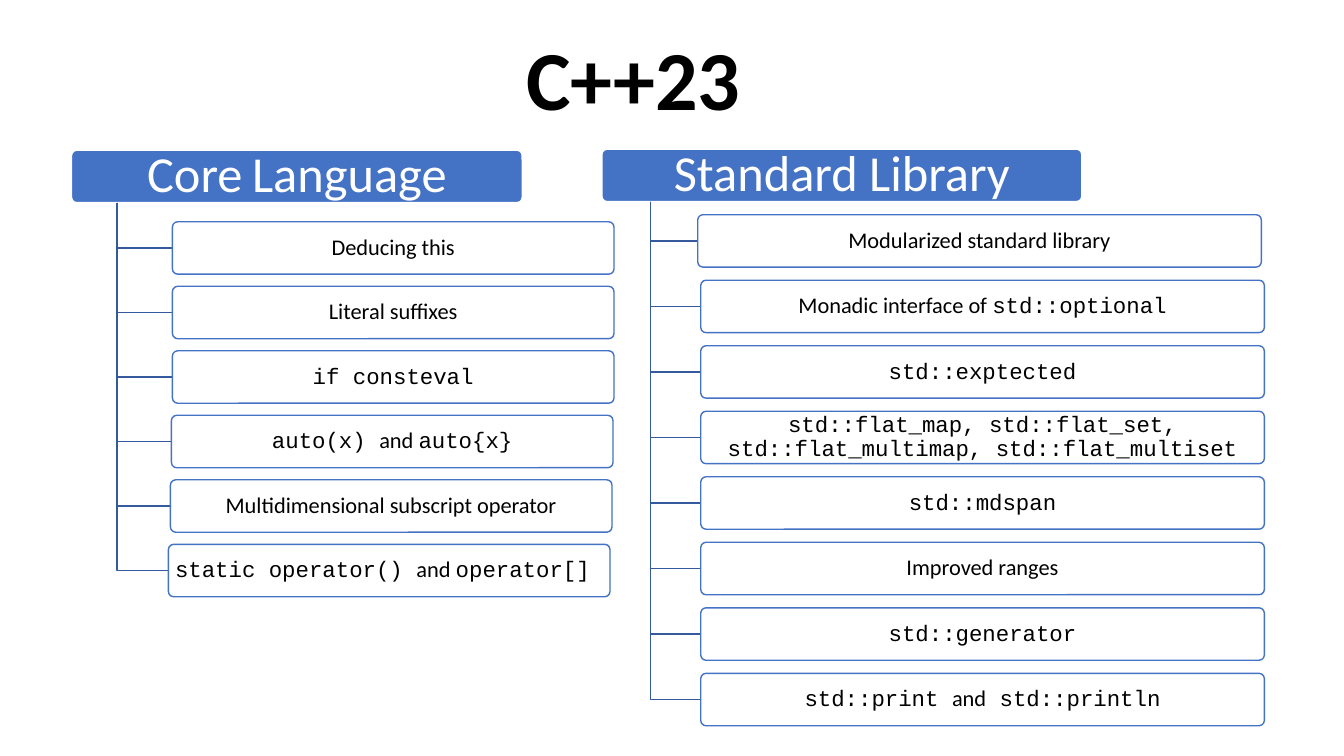
from lxml import etree
from pptx import Presentation
from pptx import util as u
from pptx.dml.color import RGBColor
from pptx.enum import shapes, text
from pptx.oxml import ns

COLORS = {"blue": "4472C4", "branch": "34599C", "white": "FFFFFF", "black": "000000"}
SANS, MONO = "Calibri", "Courier New"
BOX_HEIGHT = 0.52

# Items are (left edge, label); text between backticks is set as code
COLUMNS = [
    {"left": 0.71, "top": 1.49, "width": 4.47, "trunk": 1.16,
     "title": [("Core", SANS, 36), (" ", SANS, 30), ("Language", SANS, 36)],
     "first": 2.2, "pitch": 0.64, "item_width": 4.38,
     "items": [
         (1.71, "Deducing this"),
         (1.71, "Literal suffixes"),
         (1.71, "`if consteval`"),
         (1.70, "`auto(x) `and `auto{x}`"),
         (1.69, "Multidimensional subscript operator"),
         (1.67, "`static operator() `and `operator[] `"),
     ]},
    {"left": 5.97, "top": 1.48, "width": 4.76, "trunk": 6.45,
     "title": [("Standard Library", SANS, 36)],
     "first": 2.13, "pitch": 0.65, "item_width": 5.59,
     "items": [
         (6.92, "Modularized standard library"),
         (6.95, "Monadic interface of `std::optional`"),
         (6.95, "`std::exptected`"),
         (6.95, "`std::flat_map, std::flat_set, std::flat_multimap, std::flat_multiset`"),
         (6.95, "`std::mdspan`"),
         (6.95, "Improved ranges"),
         (6.95, "`std::generator`"),
         (6.95, "`std::print `and` std::println`"),
     ]},
]


def color(name):
    return RGBColor.from_string(COLORS[name])


def add_box(left, top, width, spans, fill, line, ink, inset):
    box = page.shapes.add_shape(
        shapes.MSO_SHAPE.ROUNDED_RECTANGLE, u.Inches(left), u.Inches(top),
        u.Inches(width), u.Inches(BOX_HEIGHT))
    box.adjustments[0] = 0.1
    box.shadow.inherit = False
    box.fill.solid()
    box.fill.fore_color.rgb = color(fill)
    box.line.color.rgb = color(line)
    box.line.width = u.Pt(1)
    frame = box.text_frame
    frame.word_wrap = True
    frame.vertical_anchor = text.MSO_ANCHOR.MIDDLE
    frame.margin_left = frame.margin_right = u.Inches(inset)
    frame.margin_top = frame.margin_bottom = u.Inches(inset)
    para = frame.paragraphs[0]
    para.alignment = text.PP_ALIGN.CENTER
    para.line_spacing = 0.9
    for words, font, size in spans:
        span = para.add_run()
        span.text = words
        span.font.name = font
        span.font.size = u.Pt(size)
        span.font.color.rgb = color(ink)
    return box


deck = Presentation()
deck.slide_width, deck.slide_height = u.Inches(13.33), u.Inches(7.5)
page = deck.slides.add_slide(deck.slide_layouts[6])

for column in COLUMNS:
    # Column header
    add_box(column["left"], column["top"], column["width"], column["title"],
            "blue", "white", "white", 0.07)
    trunk, trunk_top = column["trunk"], column["top"] + BOX_HEIGHT

    for row, (left, label) in enumerate(column["items"]):
        top = column["first"] + row * column["pitch"]
        middle = top + BOX_HEIGHT / 2

        # Elbow from the header to the item
        outline = page.shapes.build_freeform(
            u.Inches(trunk), u.Inches(trunk_top))
        outline.add_line_segments(
            [(u.Inches(trunk), u.Inches(middle)), (u.Inches(left), u.Inches(middle))],
            close=False)
        elbow = outline.convert_to_shape()
        elbow.shadow.inherit = False
        elbow.fill.background()
        elbow.line.color.rgb = color("branch")
        elbow.line.width = u.Pt(1)

        # Item box with a slightly transparent fill
        spans = [(words, MONO if part % 2 else SANS, 16)
                 for part, words in enumerate(label.split("`")) if words]
        item = add_box(left, top, column["item_width"], spans,
                       "white", "blue", "black", 0.03)
        tint = item.fill._xPr.find(ns.qn("a:solidFill"))[0]
        etree.SubElement(tint, ns.qn("a:alpha")).set("val", "90000")

# Slide title
title = page.shapes.add_textbox(
    u.Inches(5.12), u.Inches(0.21), u.Inches(4.14), u.Inches(1.11))
title.text_frame.word_wrap = True
title.text_frame.auto_size = text.MSO_AUTO_SIZE.SHAPE_TO_FIT_TEXT
title.text_frame.text = "C++23"
span = title.text_frame.paragraphs[0].runs[0]
span.font.name = SANS
span.font.size = u.Pt(60)
span.font.bold = True
span.font.color.rgb = color("black")

deck.save("out.pptx")
